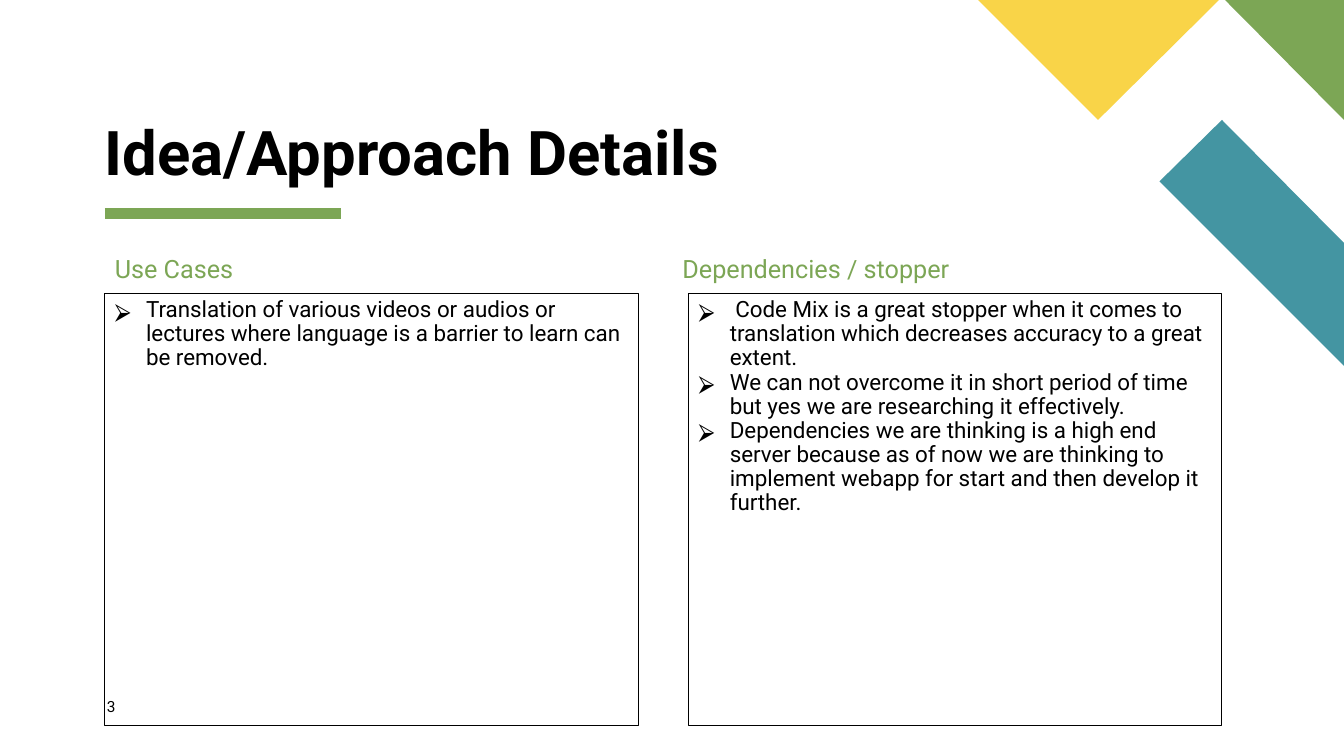
from lxml import etree
from pptx import Presentation, util as u
from pptx.dml import color
from pptx.enum import shapes, text
from pptx.oxml import ns


def rgb(code):
    return color.RGBColor.from_string(code)


def write(shape, lines, size, ink, bold=False, spacing=0.9, inset=(0, 0), bullet=None):
    frame = shape.text_frame
    frame.text = "\n".join(lines)
    frame.word_wrap = True
    frame.auto_size = text.MSO_AUTO_SIZE.NONE
    frame.vertical_anchor = text.MSO_ANCHOR.TOP
    frame.margin_left = frame.margin_right = u.Inches(inset[0])
    frame.margin_top = frame.margin_bottom = u.Inches(inset[1])
    for paragraph in frame.paragraphs:
        paragraph.alignment = text.PP_ALIGN.LEFT
        paragraph.line_spacing = spacing
        paragraph.space_before = u.Pt(0)
        if bullet:
            properties = paragraph._p.get_or_add_pPr()
            properties.set("marL", str(u.Inches(0.31)))
            properties.set("indent", str(-u.Inches(0.31)))
            etree.SubElement(properties, ns.qn("a:buFont")).set("typeface", "Noto Sans Symbols")
            etree.SubElement(properties, ns.qn("a:buChar")).set("char", bullet)
        paragraph.font.name = "Roboto"
        paragraph.font.size = u.Pt(size)
        paragraph.font.bold = bold
        paragraph.font.color.rgb = rgb(ink)


GREEN, TEAL, YELLOW, BLACK = "7CA655", "4495A2", "F9D448", "000000"
WIDTH, HEIGHT = 13.33, 7.5
LEFT, PANEL_WIDTH, PANEL_TOP, PANEL_HEIGHT = 1.04, 5.29, 2.91, 4.29
INSET = (0.1, 0.05)

deck = Presentation()
deck.slide_width, deck.slide_height = u.Inches(WIDTH), u.Inches(HEIGHT)
slide = deck.slides.add_slide(deck.slide_layouts[5])

underline = slide.shapes.add_connector(
    shapes.MSO_CONNECTOR.STRAIGHT,
    u.Inches(LEFT), u.Inches(2.12), u.Inches(3.38), u.Inches(2.12))
underline.line.color.rgb = rgb(GREEN)
underline.line.width = u.Pt(8)
etree.SubElement(underline._element.spPr, ns.qn("a:effectLst"))

corner_pieces = [
    (TEAL, [(WIDTH, 3.63), (WIDTH, 2.41), (12.12, 1.19), (11.5, 1.8)]),
    (GREEN, [(WIDTH, 1.19), (WIDTH, 0), (12.15, 0)]),
    (YELLOW, [(9.7, 0), (10.89, 1.19), (12.09, 0)]),
]
for fill, corners in corner_pieces:
    points = [(u.Inches(x), u.Inches(y)) for x, y in corners]
    outline = slide.shapes.build_freeform(*points[0])
    outline.add_line_segments(points[1:], close=True)
    piece = outline.convert_to_shape()
    piece.fill.solid()
    piece.fill.fore_color.rgb = rgb(fill)
    piece.line.fill.background()
    piece.shadow.inherit = False

title = slide.shapes.title
title.left, title.top, title.width, title.height = map(u.Inches, (LEFT, 1.2, 6.32, 0.67))
write(title, ["Idea/Approach Details"], 44, BLACK, bold=True)
title.text_frame.vertical_anchor = text.MSO_ANCHOR.BOTTOM

columns = [
    (LEFT, LEFT, "Use Cases", [
        "Translation of various videos or audios or lectures where language is a barrier to learn can be removed.",
    ]),
    (6.83, 6.67, "Dependencies / stopper", [
        " Code Mix is a great stopper when it comes to translation which decreases accuracy to a great extent.",
        "We can not overcome it in short period of time but yes we are researching it effectively.",
        "Dependencies we are thinking is a high end server because as of now we are thinking to implement webapp for start and then develop it further.",
    ]),
]
for panel_left, heading_left, heading_text, points in columns:
    heading = slide.shapes.add_textbox(
        u.Inches(heading_left), u.Inches(2.5), u.Inches(PANEL_WIDTH), u.Inches(0.35))
    write(heading, [heading_text], 18, GREEN, inset=INSET)
    panel = slide.shapes.add_shape(
        shapes.MSO_SHAPE.RECTANGLE,
        u.Inches(panel_left), u.Inches(PANEL_TOP), u.Inches(PANEL_WIDTH), u.Inches(PANEL_HEIGHT))
    panel.fill.background()
    panel.line.color.rgb = rgb(BLACK)
    panel.line.width = u.Pt(0.75)
    panel.shadow.inherit = False
    write(panel, points, 16, BLACK, inset=INSET, bullet="⮚")

page_number = slide.shapes.add_textbox(
    u.Inches(1.06), u.Inches(6.92), u.Inches(0.57), u.Inches(0.27))
write(page_number, ["3"], 11, BLACK, spacing=1.0)

deck.save("out.pptx")
